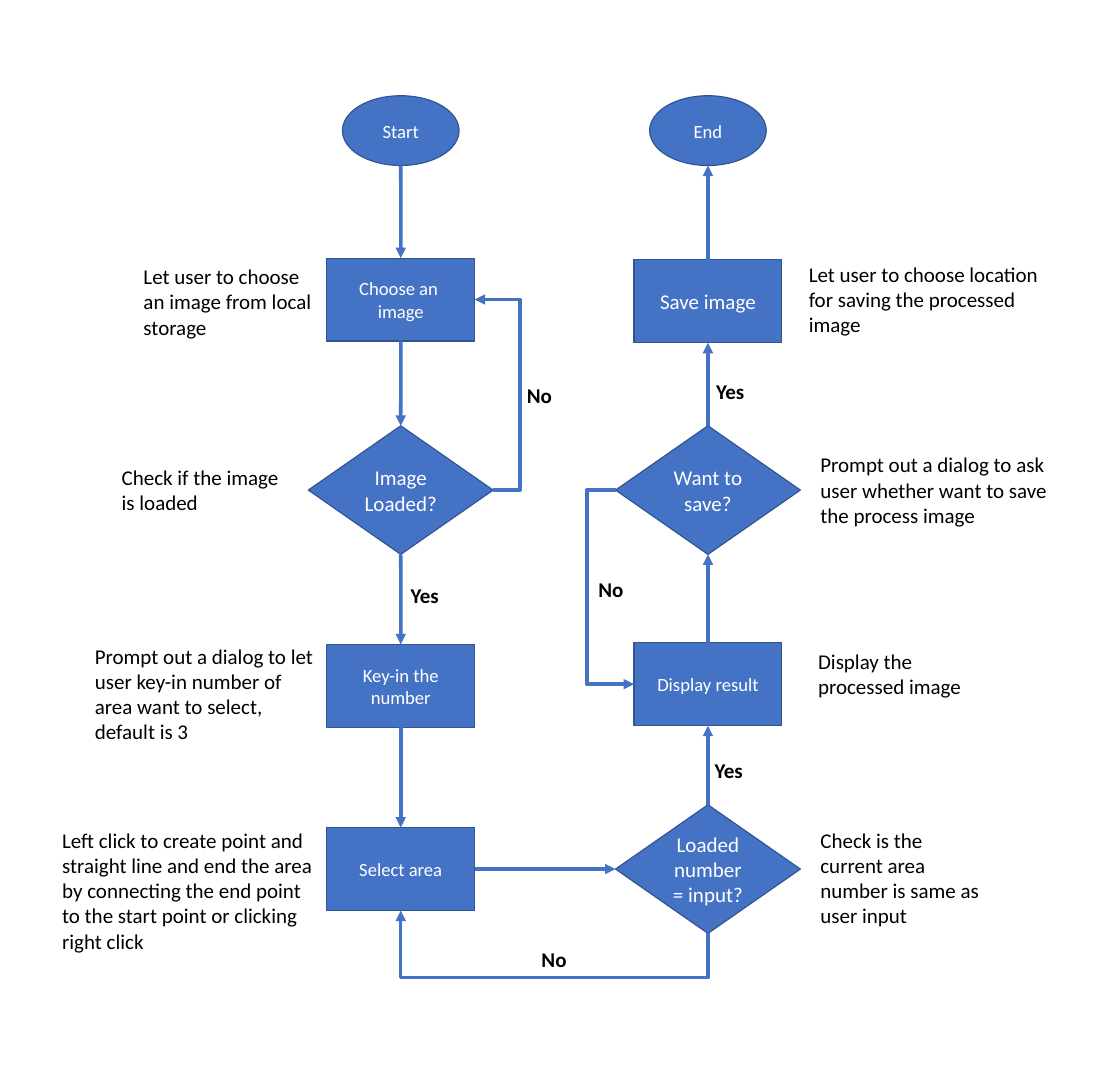
from dataclasses import dataclass

from lxml import etree
from pptx import Presentation
from pptx.dml.color import RGBColor
from pptx.enum.shapes import MSO_CONNECTOR, MSO_SHAPE
from pptx.enum.text import MSO_ANCHOR, MSO_AUTO_SIZE, PP_ALIGN
from pptx.oxml.ns import qn
from pptx.util import Cm, Pt

OVAL, BOX, DIAMOND = MSO_SHAPE.OVAL, MSO_SHAPE.RECTANGLE, MSO_SHAPE.DIAMOND
STRAIGHT, ELBOW = MSO_CONNECTOR.STRAIGHT, MSO_CONNECTOR.ELBOW
CENTER, LEFT_ALIGN = PP_ALIGN.CENTER, PP_ALIGN.LEFT
MIDDLE, GROW = MSO_ANCHOR.MIDDLE, MSO_AUTO_SIZE.SHAPE_TO_FIT_TEXT
TOP, LEFT, BOTTOM, RIGHT = range(4)


@dataclass(frozen=True)
class Theme:
    """Colours, font and type sizes of the flowchart."""
    fill: RGBColor = RGBColor(0x44, 0x72, 0xC4)
    outline: RGBColor = RGBColor(0x32, 0x54, 0x91)
    light: RGBColor = RGBColor(0xFF, 0xFF, 0xFF)
    dark: RGBColor = RGBColor(0, 0, 0)
    font: str = "Calibri"
    small: int = 16
    normal: int = 18


THEME = Theme()
STEP_SIZES = {OVAL: (3.53, 2.11), BOX: (4.47, 2.51), DIAMOND: (5.59, 3.89)}

LEFT_STEPS = {
    "start": (OVAL, 1.05, "Start", THEME.small),
    "choose": (BOX, 6.16, "Choose an \nimage", THEME.small),
    "loaded": (DIAMOND, 11.92, "Image\nLoaded?", THEME.normal),
    "key_in": (BOX, 17.84, "Key-in the number", THEME.small),
    "select": (BOX, 23.38, "Select area", THEME.small),
}
LEFT_NOTES = [
    (-8.03, 4.95, 5.59, 2.57, "Let user to choose an image from local storage"),
    (-8.69, 11.02, 5.59, 1.8, "Check if the image is loaded"),
    (-9.5, 16.43, 7.24, 3.33, "Prompt out a dialog to let user key-in number of "
     "area want to select, default is 3"),
    (-10.49, 21.99, 8.26, 4.11, "Left click to create point and straight line and end the "
     "area by connecting the end point to the start point or clicking right click"),
]
LEFT_LABELS = [
    (3.09, 8.53, "No", CENTER),
    (0.05, 14.58, "Yes", LEFT_ALIGN),
    (3.53, 25.6, "No", CENTER),
]
RIGHT_STEPS = {
    "end": (OVAL, 1.05, "End", THEME.small),
    "save": (BOX, 6.21, "Save image", THEME.normal),
    "want": (DIAMOND, 11.92, "Want to save?", THEME.normal),
    "display": (BOX, 17.79, "Display result", THEME.small),
    "compare": (DIAMOND, 23.38, "Loaded number = input?", THEME.normal),
}
RIGHT_NOTES = [
    (2.8, 4.87, 8.03, 2.57, "Let user to choose location for saving the processed image"),
    (3.15, 10.64, 8.03, 2.57, "Prompt out a dialog to ask user whether want to save "
     "the process image"),
    (3.08, 16.58, 5.59, 1.8, "Display the processed image"),
    (3.15, 21.99, 5.59, 3.33, "Check is the current area number is same as user input"),
]
RIGHT_LABELS = [
    (0, 8.43, "Yes", LEFT_ALIGN),
    (-4.04, 14.4, "No", CENTER),
    (-0.05, 19.88, "Yes", LEFT_ALIGN),
]


def write_text(shape, text, size, color, align, bold=False):
    """Fill a shape with text and format its runs."""
    frame = shape.text_frame
    frame.text = text
    frame.word_wrap = True
    for paragraph in frame.paragraphs:
        paragraph.alignment = align
        for run in paragraph.runs:
            run.font.name = THEME.font
            run.font.size = Pt(size)
            run.font.bold = bold
            run.font.color.rgb = color


def add_step(slide, kind, center_x, center_y, text, size):
    """Add a flowchart step around a centre point."""
    width, height = STEP_SIZES[kind]
    shape = slide.shapes.add_shape(kind, Cm(center_x - width / 2), Cm(center_y - height / 2),
                                   Cm(width), Cm(height))
    shape.shadow.inherit = False
    shape.fill.solid()
    shape.fill.fore_color.rgb = THEME.fill
    shape.line.color.rgb = THEME.outline
    shape.line.width = Pt(1)
    shape.text_frame.vertical_anchor = MIDDLE
    write_text(shape, text, size, THEME.light, CENTER)
    return shape


def add_text(slide, left, top, width, height, text, align=LEFT_ALIGN, bold=False):
    """Add a dark text box that grows with its text."""
    box = slide.shapes.add_textbox(Cm(left), Cm(top), Cm(width), Cm(height))
    write_text(box, text, THEME.normal, THEME.dark, align, bold)
    box.text_frame.auto_size = GROW


def add_column(slide, axis, top, steps, notes, labels):
    """Place one column of steps, notes and labels around a vertical axis."""
    for left, offset, width, height, text in notes:
        add_text(slide, axis + left, top + offset, width, height, text)
    for left, offset, text, align in labels:
        add_text(slide, axis + left, top + offset, 2.21, 1.02, text, align, bold=True)
    return {name: add_step(slide, kind, axis, top + offset, text, size)
            for name, (kind, offset, text, size) in steps.items()}


def site_point(shape, side):
    """Return the middle of one side of a shape."""
    middle_x, middle_y = shape.left + shape.width // 2, shape.top + shape.height // 2
    return {
        TOP: (middle_x, shape.top),
        LEFT: (shape.left, middle_y),
        BOTTOM: (middle_x, shape.top + shape.height),
        RIGHT: (shape.left + shape.width, middle_y),
    }[side]


def add_arrow(slide, source, source_side, target, target_side, detour=0):
    """Join two steps, swinging out by the detour when one is given."""
    start, end = site_point(source, source_side), site_point(target, target_side)
    turned = bool(detour) and source_side == BOTTOM
    if turned:
        center_x, center_y = (start[0] + end[0]) // 2, (start[1] + end[1]) // 2
        half_width, half_height = (start[1] - end[1]) // 2, (start[0] - end[0]) // 2
        start = center_x + half_width, center_y - half_height
        end = center_x - half_width, center_y + half_height
    arrow = slide.shapes.add_connector(ELBOW if detour else STRAIGHT, *start, *end)
    arrow.line.color.rgb = THEME.fill
    arrow.line.width = Pt(3)
    element = arrow._element
    etree.SubElement(element.spPr.find(qn("a:ln")), qn("a:tailEnd"), type="triangle")
    etree.SubElement(element.spPr, qn("a:effectLst"))
    if turned:
        element.spPr.find(qn("a:xfrm")).set("rot", "5400000")
    if detour:
        adjustment = round(-100000 * Cm(detour) / arrow.width)
        etree.SubElement(element.find(".//" + qn("a:avLst")), qn("a:gd"),
                         name="adj1", fmla=f"val {adjustment}")
    links = element.find(".//" + qn("p:cNvCxnSpPr"))
    for tag, shape, side in (("a:stCxn", source, source_side), ("a:endCxn", target, target_side)):
        site = side * 2 if shape.auto_shape_type == OVAL else side
        etree.SubElement(links, qn(tag), id=str(shape.shape_id), idx=str(site))


def add_flow(slide, steps):
    """Connect all steps of the flowchart."""
    for upper, lower in zip(list(LEFT_STEPS), list(LEFT_STEPS)[1:]):
        add_arrow(slide, steps[upper], BOTTOM, steps[lower], TOP)
    for upper, lower in zip(list(RIGHT_STEPS), list(RIGHT_STEPS)[1:]):
        add_arrow(slide, steps[lower], TOP, steps[upper], BOTTOM)
    add_arrow(slide, steps["select"], RIGHT, steps["compare"], LEFT)
    add_arrow(slide, steps["loaded"], RIGHT, steps["choose"], RIGHT, 0.81)
    add_arrow(slide, steps["want"], LEFT, steps["display"], LEFT, 0.87)
    add_arrow(slide, steps["compare"], BOTTOM, steps["select"], BOTTOM, 1.34)


def build_presentation():
    """Build and save the flowchart slide."""
    presentation = Presentation()
    presentation.slide_width, presentation.slide_height = Cm(33.87), Cm(33.02)
    slide = presentation.slides.add_slide(presentation.slide_layouts[6])
    steps = add_column(slide, 12.12, 2.9, LEFT_STEPS, LEFT_NOTES, LEFT_LABELS)
    steps.update(add_column(slide, 21.41, 2.9, RIGHT_STEPS, RIGHT_NOTES, RIGHT_LABELS))
    add_flow(slide, steps)
    presentation.save("out.pptx")


build_presentation()
